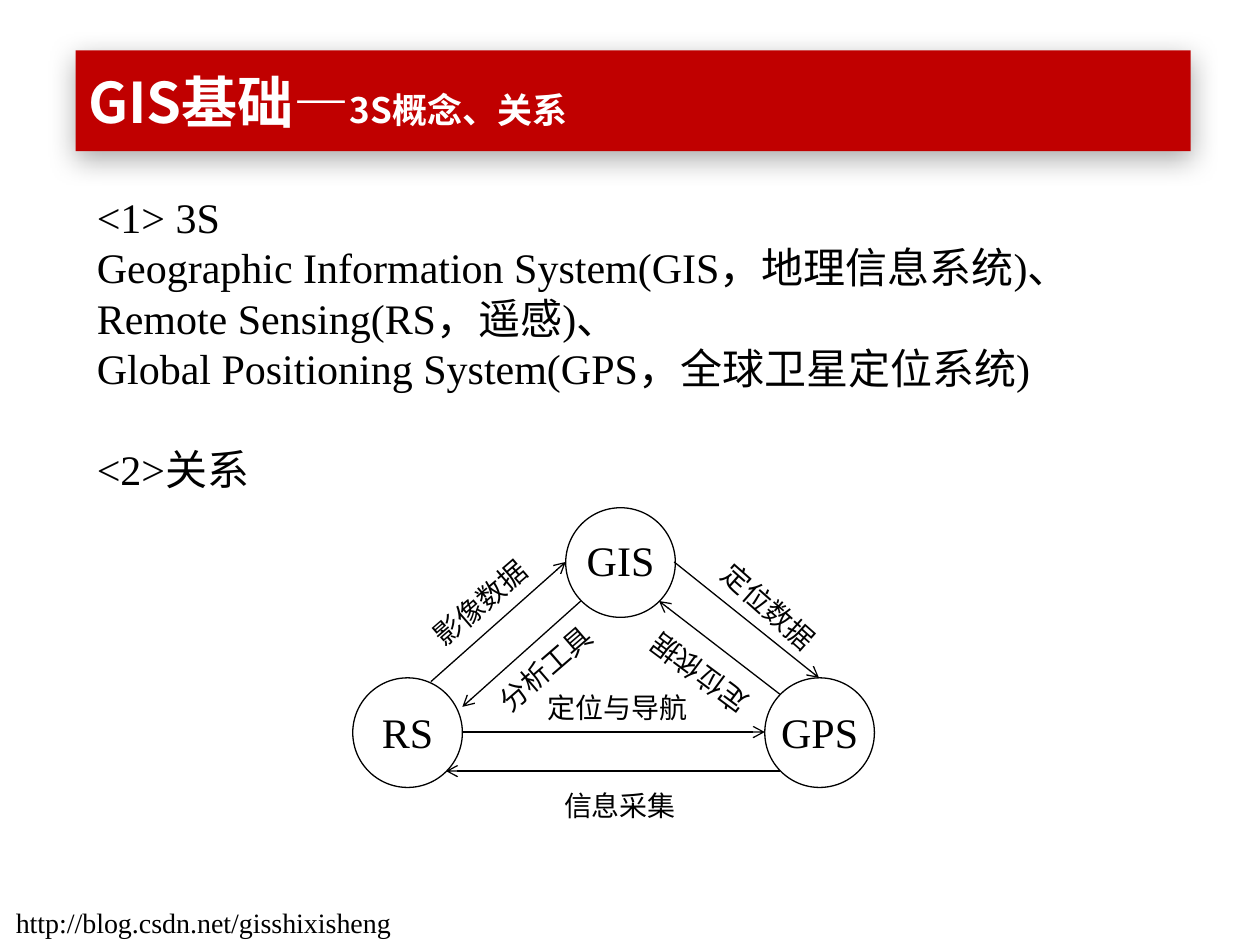
"""Build the slide on the 3S concepts and how GIS, RS and GPS relate."""
import pptx
import pptx.util
import pptx.dml.color
import pptx.enum.shapes
import pptx.enum.text
import pptx.oxml
import pptx.oxml.ns
import lxml.etree

Inches = pptx.util.Inches
Pt = pptx.util.Pt
SHAPE = pptx.enum.shapes.MSO_SHAPE
ALIGN = pptx.enum.text.PP_ALIGN
HUES = {"red": "C00000", "ink": "000000", "paper": "FFFFFF"}
RGB = {name: pptx.dml.color.RGBColor.from_string(hue) for name, hue in HUES.items()}
SANS, SERIF = "Noto Sans CJK SC", "Times New Roman"
qn = pptx.oxml.ns.qn


def add_run(para, text, size, face=SERIF, hue="ink", bold=False):
    run = para.add_run()
    run.text = text
    font = run.font
    font.size, font.name, font.bold = Pt(size), face, bold
    font.color.rgb = RGB[hue]
    east = lxml.etree.SubElement(run._r.get_or_add_rPr(), qn("a:ea"))
    east.set("typeface", SANS)


def add_text(box, lines, size, align=ALIGN.CENTER, wrap=False, turn=0):
    area = slide.shapes.add_textbox(*map(Inches, box))
    area.rotation = turn
    frame = area.text_frame
    frame.word_wrap = wrap
    frame.auto_size = pptx.enum.text.MSO_AUTO_SIZE.SHAPE_TO_FIT_TEXT
    for i, line in enumerate(lines):
        para = frame.add_paragraph() if i else frame.paragraphs[0]
        para.alignment = align
        para.line_spacing = Pt(size * 1.2)
        add_run(para, line, size)
    return frame


deck = pptx.Presentation()
deck.slide_width, deck.slide_height = Inches(10), Inches(7.5)
slide = deck.slides.add_slide(deck.slide_layouts[6])

banner = slide.shapes.add_shape(SHAPE.RECTANGLE, *map(Inches, (0.6, 0.4, 8.85, 0.8)))
banner.fill.solid()
banner.fill.fore_color.rgb = RGB["red"]
banner.line.fill.background()
banner.shadow.inherit = False
glow = lxml.etree.SubElement(
    banner._element.spPr.find(qn("a:effectLst")), qn("a:outerShdw"),
    blurRad=str(Pt(16)), dist=str(Pt(4)), dir="5400000", rotWithShape="0")
shade = lxml.etree.SubElement(glow, qn("a:srgbClr"), val=HUES["ink"])
lxml.etree.SubElement(shade, qn("a:alpha"), val="32000")
banner.text_frame.vertical_anchor = pptx.enum.text.MSO_ANCHOR.MIDDLE
title = banner.text_frame.paragraphs[0]
title.alignment = ALIGN.LEFT
add_run(title, "GIS基础—", 32, SANS, "paper", True)
add_run(title, "3S概念、关系", 20, SANS, "paper", True)

body = add_text((0.67, 1.47, 8.78, 2.52), [
    "<1> 3S",
    "Geographic Information System(GIS，地理信息系统)、",
    "Remote Sensing(RS，遥感)、",
    "Global Positioning System(GPS，全球卫星定位系统)",
    "<2>关系",
], 24, ALIGN.LEFT, True)
body.paragraphs[-1].space_before = Pt(28.8)
add_text((-0.43, 7.14, 4.09, 0.37), ["http://blog.csdn.net/gisshixisheng"], 16, wrap=True)

SIDE = 0.87
nodes = [("GIS", 4.49, 4.03, 0.75, 0.16), ("GPS", 6.07, 5.38, 0.82, 0.18),
         ("RS", 2.8, 5.38, 0.61, 0.18)]
for name, left, top, width, drop in nodes:
    ring = slide.shapes.add_shape(SHAPE.OVAL, *map(Inches, (left, top, SIDE, SIDE)))
    ring.fill.background()
    ring.line.color.rgb = RGB["ink"]
    ring.line.width = Pt(0.75)
    ring.shadow.inherit = False
    add_text((left + (SIDE - width) / 2, top + drop, width, 0.5), [name], 24)

links = [(5.35, 4.46, 6.5, 5.38), (6.19, 5.51, 5.23, 4.77), (3.42, 5.41, 4.49, 4.46),
         (4.61, 4.77, 3.67, 5.61), (3.67, 5.81, 6.07, 5.81), (6.19, 6.12, 3.54, 6.12)]
for ends in links:
    link = slide.shapes.add_connector(
        pptx.enum.shapes.MSO_CONNECTOR.STRAIGHT, *map(Inches, ends))
    link.line.color.rgb = RGB["ink"]
    link.line.width = Pt(0.75)
    lxml.etree.SubElement(link.line._get_or_add_ln(), qn("a:tailEnd"), type="arrow")
    lxml.etree.SubElement(link._element.spPr, qn("a:effectLst"))

labels = [("定位数据", 5.55, 4.63, 1.1, 41.5), ("定位依据", 5, 5.16, 1.1, 216.6),
          ("影像数据", 3.26, 4.6, 1.1, 319.2), ("分析工具", 3.78, 5.12, 1.1, 319.2),
          ("定位与导航", 4.24, 5.43, 1.32, 0), ("信息采集", 4.37, 6.21, 1.1, 0)]
for text, left, top, width, turn in labels:
    add_text((left, top, width, 0.37), [text], 16, turn=turn)

deck.save("out.pptx")
